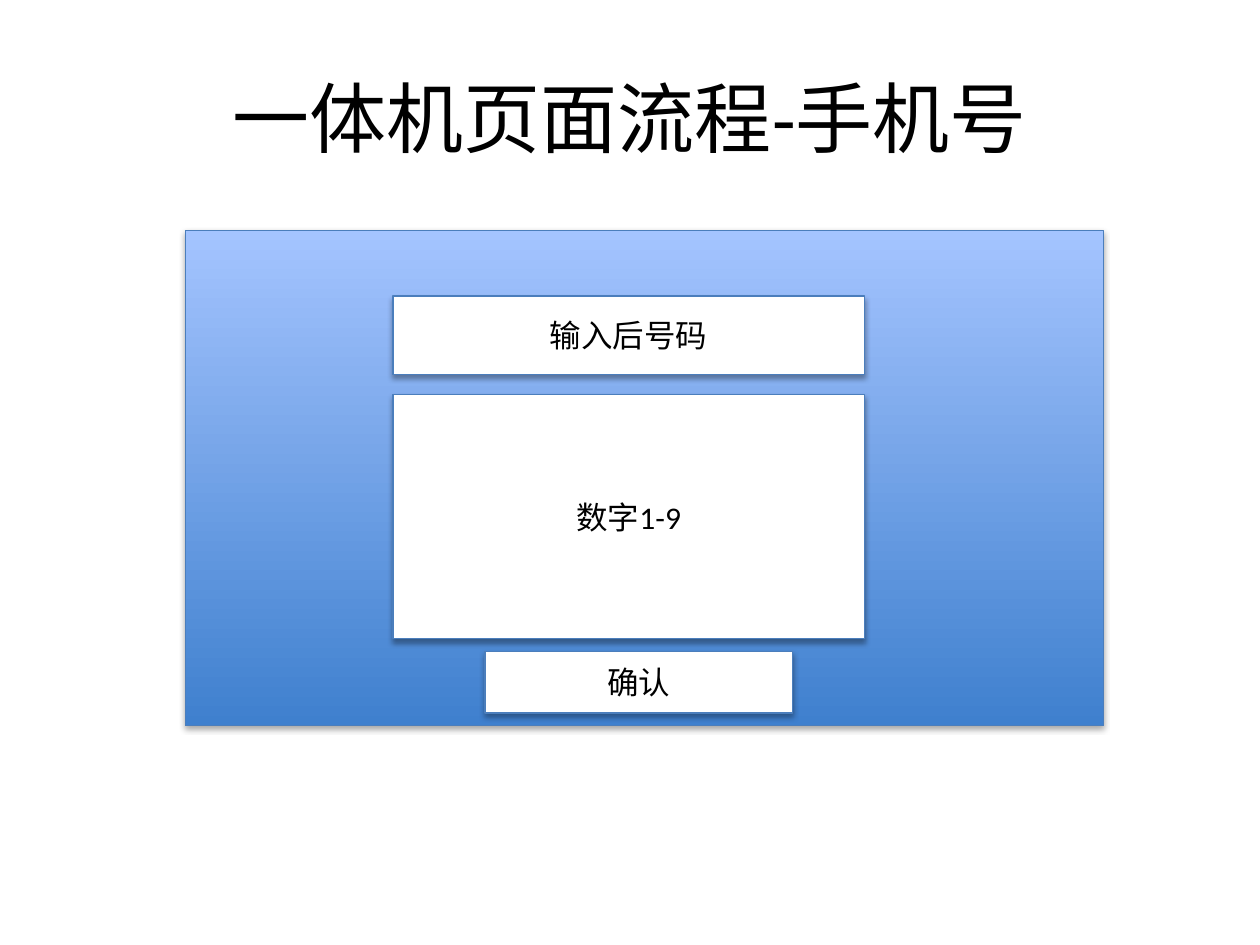
from dataclasses import dataclass

from pptx import Presentation
from pptx.dml.color import RGBColor
from pptx.enum.shapes import MSO_SHAPE
from pptx.enum.text import MSO_ANCHOR, PP_ALIGN
from pptx.util import Inches, Pt


@dataclass(frozen=True)
class Theme:
    font: str = "Calibri"
    title_size: int = 44
    label_size: int = 18
    line_width: float = 0.75
    text: str = "000000"
    line: str = "4B7EBC"
    field: str = "FFFFFF"
    panel_bottom: str = "3F80CE"
    panel_top: str = "A4C4FF"


class SlideBuilder:
    COLS, ROWS = 100, 75

    def __init__(self, prs, theme):
        self.theme = theme
        self.col = prs.slide_width / self.COLS
        self.row = prs.slide_height / self.ROWS
        self.slide = prs.slides.add_slide(prs.slide_layouts[5])

    def box(self, col, row, cols, rows):
        return (round(col * self.col), round(row * self.row),
                round(cols * self.col), round(rows * self.row))

    def label(self, sp, text, size):
        tf = sp.text_frame
        tf.text = text
        tf.word_wrap = True
        tf.vertical_anchor = MSO_ANCHOR.MIDDLE
        p = tf.paragraphs[0]
        p.alignment = PP_ALIGN.CENTER
        for r in p.runs:
            r.font.name = self.theme.font
            r.font.size = Pt(size)
            r.font.color.rgb = RGBColor.from_string(self.theme.text)

    def title(self, text, *place):
        sp = self.slide.shapes.title
        sp.left, sp.top, sp.width, sp.height = self.box(*place)
        self.label(sp, text, self.theme.title_size)

    def rectangle(self, *place):
        sp = self.slide.shapes.add_shape(MSO_SHAPE.RECTANGLE, *self.box(*place))
        sp.line.color.rgb = RGBColor.from_string(self.theme.line)
        sp.line.width = Pt(self.theme.line_width)
        return sp

    def panel(self, *place):
        fill = self.rectangle(*place).fill
        fill.gradient()
        fill.gradient_angle = 90
        colors = self.theme.panel_bottom, self.theme.panel_top
        for stop, color in zip(fill.gradient_stops, colors):
            stop.color.rgb = RGBColor.from_string(color)

    def field(self, text, *place):
        sp = self.rectangle(*place)
        sp.fill.solid()
        sp.fill.fore_color.rgb = RGBColor.from_string(self.theme.field)
        self.label(sp, text, self.theme.label_size)


def main():
    prs = Presentation()
    prs.slide_width, prs.slide_height = Inches(10), Inches(7.5)
    s = SlideBuilder(prs, Theme())
    s.title("一体机页面流程-手机号", 5, 3, 90, 12.5)
    s.panel(14.7, 18.3, 72.9, 39.3)
    s.field("输入后号码", 31.2, 23.5, 37.4, 6.2)
    s.field("数字1-9", 31.2, 31.3, 37.4, 19.4)
    s.field("确认", 38.5, 51.7, 24.4, 4.9)
    prs.save("out.pptx")


if __name__ == "__main__":
    main()
